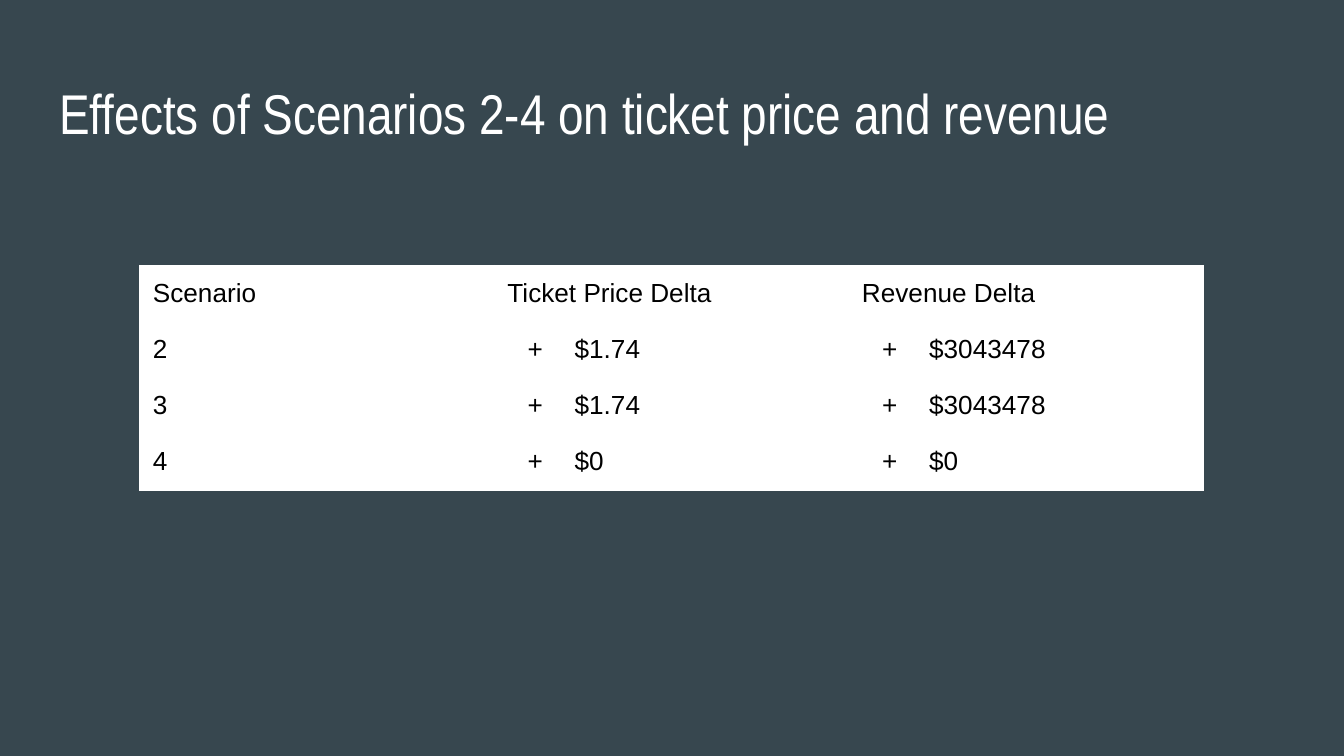
from lxml import etree
from pptx import Presentation
from pptx.dml.color import RGBColor
from pptx.enum.text import MSO_ANCHOR, MSO_AUTO_SIZE, PP_ALIGN
from pptx.oxml.ns import qn
from pptx.util import Cm, Pt

SLATE = RGBColor(0x37, 0x47, 0x4F)
WHITE = RGBColor(0xFF, 0xFF, 0xFF)
BLACK = RGBColor(0x00, 0x00, 0x00)
TOP = MSO_ANCHOR.TOP
NO_AUTOFIT = MSO_AUTO_SIZE.NONE
LEFT = PP_ALIGN.LEFT
PADDING = Cm(0.25)
TITLE_ONLY = 5

HEADINGS = ["Scenario", "Ticket Price Delta", "Revenue Delta"]
EFFECTS = [
    ["2", "$1.74", "$3043478"],
    ["3", "$1.74", "$3043478"],
    ["4", "$0", "$0"],
]


def write_text(frame, text, font="Arial", size=14, color=BLACK, bullet=None):
    paragraph = frame.paragraphs[0]
    paragraph.alignment = LEFT
    run = paragraph.add_run()
    run.text = text
    run.font.name = font
    run.font.size = Pt(size)
    run.font.color.rgb = color
    if bullet:
        properties = paragraph._p.get_or_add_pPr()
        properties.set("marL", str(Cm(1.27)))
        properties.set("indent", str(Cm(-0.89)))
        bullet_color = etree.SubElement(properties, qn("a:buClr"))
        etree.SubElement(bullet_color, qn("a:srgbClr"), val=str(color))
        etree.SubElement(properties, qn("a:buFont"), typeface=font)
        etree.SubElement(properties, qn("a:buChar"), char=bullet)


class Deck:
    """Holds the style and the current slide, and adds its elements."""

    def __init__(self, background=SLATE, panel=WHITE):
        self.panel = panel
        self.presentation = Presentation()
        self.presentation.slide_width = Cm(25.4)
        self.presentation.slide_height = Cm(14.29)
        layout = self.presentation.slide_layouts[TITLE_ONLY]
        self.slide = self.presentation.slides.add_slide(layout)
        self.slide.background.fill.solid()
        self.slide.background.fill.fore_color.rgb = background

    def title(self, text, left, top, width, height):
        heading = self.slide.shapes.title
        heading.left, heading.top = left, top
        heading.width, heading.height = width, height
        frame = heading.text_frame
        frame.word_wrap = True
        frame.auto_size = NO_AUTOFIT
        frame.vertical_anchor = TOP
        frame.margin_left = frame.margin_right = PADDING
        frame.margin_top = frame.margin_bottom = PADDING
        write_text(frame, text, font="Arial Narrow", size=30, color=WHITE)

    def table(self, rows, left, top, column_width, row_height):
        column_count, row_count = len(rows[0]), len(rows)
        grid = self.slide.shapes.add_table(
            row_count, column_count, left, top,
            column_width * column_count, row_height * row_count).table
        grid.first_row = grid.horz_banding = False
        for row, values in enumerate(rows):
            grid.rows[row].height = row_height
            for column, value in enumerate(values):
                bullet = "+" if row and column else None
                self.cell(grid.cell(row, column), value, bullet)

    def cell(self, cell, text, bullet):
        cell.margin_left = cell.margin_right = PADDING
        cell.margin_top = cell.margin_bottom = PADDING
        cell.vertical_anchor = TOP
        write_text(cell.text_frame, text, bullet=bullet)
        properties = cell._tc.get_or_add_tcPr()
        for edge in ("a:lnL", "a:lnR", "a:lnT", "a:lnB"):
            border = etree.SubElement(properties, qn(edge), w=str(Pt(0.75)))
            paint = etree.SubElement(border, qn("a:solidFill"))
            etree.SubElement(paint, qn("a:srgbClr"), val=str(self.panel))
        cell.fill.solid()
        cell.fill.fore_color.rgb = self.panel


def main():
    deck = Deck()
    deck.title("Effects of Scenarios 2-4 on ticket price and revenue",
               Cm(0.87), Cm(1.24), Cm(23.67), Cm(1.6))
    deck.table([HEADINGS, *EFFECTS], Cm(2.64), Cm(5.02), Cm(6.7), Cm(1.06))
    deck.presentation.save("out.pptx")


if __name__ == "__main__":
    main()
